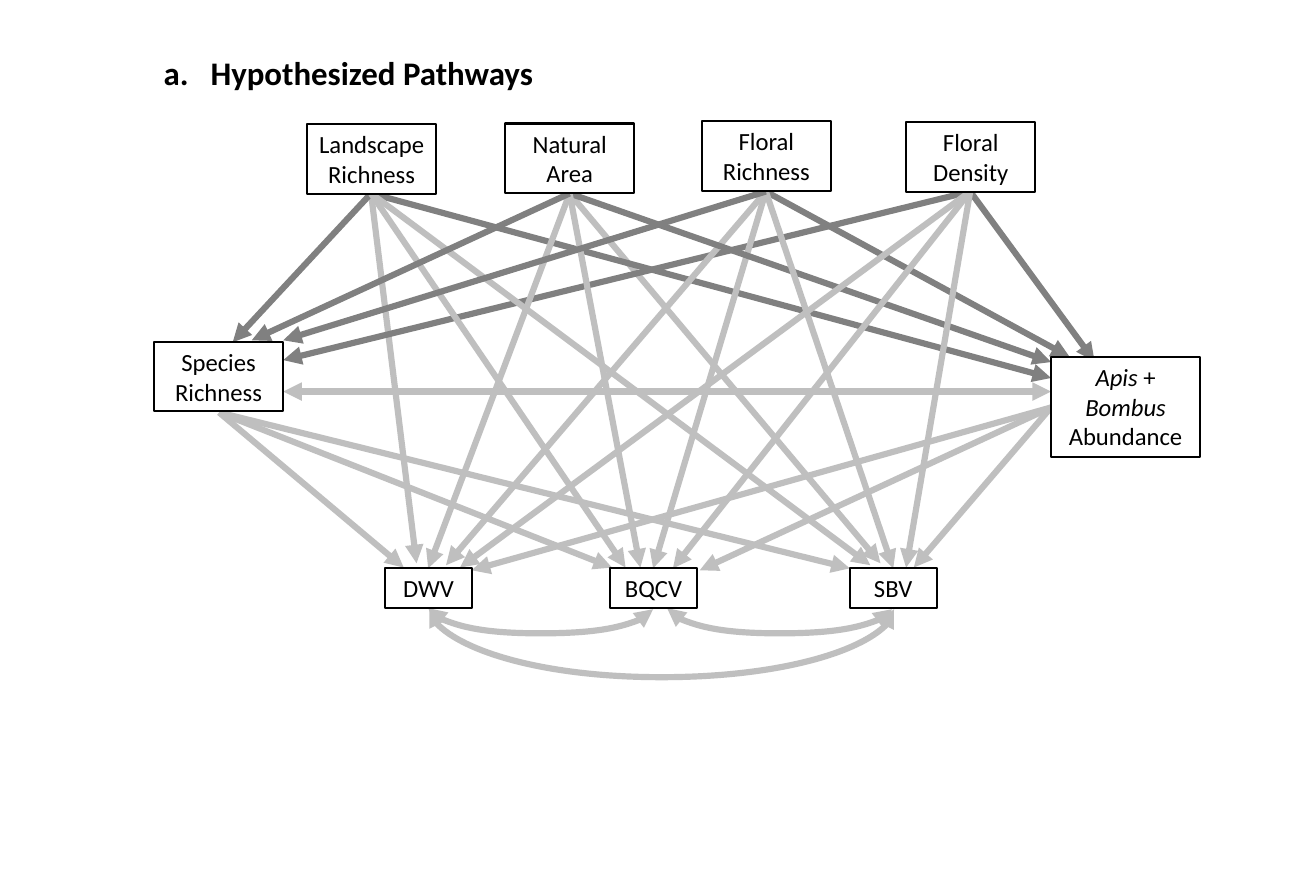
import dataclasses

import lxml.etree
import pptx
import pptx.dml.color
import pptx.enum.shapes
import pptx.enum.text
import pptx.oxml.ns
import pptx.util

Cm = pptx.util.Cm
qn = pptx.oxml.ns.qn

COLORS = {"black": "000000", "white": "FFFFFF", "dark": "808080", "light": "BFBFBF"}
FONT = "Calibri"


def rgb(name: str) -> pptx.dml.color.RGBColor:
    return pptx.dml.color.RGBColor.from_string(COLORS[name])


@dataclasses.dataclass
class Box:
    """A labelled box; label pieces alternate between upright and italic."""
    label: tuple[str, ...]
    left: float
    top: float
    width: float = 3.33
    height: float = 1.8
    filled: bool = True


@dataclasses.dataclass
class Route:
    source: str
    x: float
    y: float
    tone: str = "light"


@dataclasses.dataclass
class Arc:
    left: float
    right: float
    drop: float


# Diagram data, in centimetres
BOXES = [
    Box(("Floral Richness",), 18.06, 3.12),
    Box(("Floral Density",), 23.32, 3.15),
    Box(("Natural Area",), 13.0, 3.18),
    Box(("Landscape Richness",), 7.9, 3.2),
    Box(("Species Richness",), 3.96, 8.81, height=1.78),
    Box(("", "Apis", " + ", "Bombus", " Abundance"), 27.05, 9.19, 3.84, 2.57),
] + [Box((virus,), left, 14.63, 2.24, 1.02, False)
     for virus, left in (("DWV", 9.91), ("BQCV", 15.7), ("SBV", 21.87))]

ORIGINS = {
    "landscape": (9.55, 4.98),
    "natural": (14.66, 4.98),
    "floral richness": (19.71, 4.93),
    "floral density": (24.97, 4.93),
    "species": (5.64, 10.62),
    "bees": (27.05, 10.49),
}

ROUTES = [
    Route("bees", 23.52, 14.61),
    Route("bees", 12.14, 14.68),
    Route("natural", 22.66, 14.5),
    Route("landscape", 10.72, 14.5),
    Route("floral richness", 27.53, 9.19, "dark"),
    Route("floral density", 7.29, 9.27, "dark"),
    Route("floral density", 28.17, 9.3, "dark"),
    Route("landscape", 27.05, 9.73, "dark"),
    Route("landscape", 5.99, 8.81, "dark"),
    Route("species", 10.39, 14.61),
    Route("species", 15.75, 14.61),
    Route("floral richness", 11.48, 14.55),
    Route("natural", 11.02, 14.63),
    Route("floral richness", 16.81, 14.63),
    Route("species", 21.87, 14.63),
    Route("natural", 27.05, 9.32, "dark"),
    Route("landscape", 16.1, 14.61),
    Route("floral density", 11.84, 14.61),
    Route("bees", 18.01, 14.68),
    Route("landscape", 22.4, 14.55),
    Route("natural", 16.48, 14.61),
    Route("natural", 6.48, 8.76, "dark"),
    Route("floral richness", 22.99, 14.63),
    Route("floral density", 23.32, 14.61),
    Route("floral density", 17.32, 14.63),
    Route("floral richness", 7.29, 8.76, "dark"),
]

ARCS = [Arc(11.02, 16.81, 0.65), Arc(17.17, 22.96, 0.65), Arc(11.05, 23.01, 1.78)]
ARC_TOP = 15.67
ARC_DEPTH = 0.03


def add_span(para, text: str, size: int, **extra) -> None:
    span = para.add_run()
    span.text = text
    formats = {"name": FONT, "size": pptx.util.Pt(size), **extra}
    for key, value in formats.items():
        setattr(span.font, key, value)
    span.font.color.rgb = rgb("black")


def add_arrow(page, kind, start, end, tone: str = "light", both: bool = False):
    arrow = page.shapes.add_connector(kind, *(Cm(v) for v in (*start, *end)))
    arrow.line.color.rgb = rgb(tone)
    arrow.line.width = pptx.util.Pt(4.5)
    line = arrow.line._get_or_add_ln()
    for tip in ("a:headEnd", "a:tailEnd") if both else ("a:tailEnd",):
        lxml.etree.SubElement(line, qn(tip), type="triangle")
    lxml.etree.SubElement(arrow._element.spPr, qn("a:effectLst"))
    return arrow


def add_arc(page, arc: Arc) -> None:
    # The connector stands upright and is turned so that it bulges downwards
    middle, half = (arc.left + arc.right) / 2, (arc.right - arc.left) / 2
    arrow = add_arrow(page, pptx.enum.shapes.MSO_CONNECTOR.CURVE,
                      (middle - ARC_DEPTH / 2, ARC_TOP - half),
                      (middle + ARC_DEPTH / 2, ARC_TOP + half), both=True)
    properties = arrow._element.spPr
    frame = properties.find(qn("a:xfrm"))
    for key, value in {"rot": "16200000", "flipH": "1"}.items():
        frame.set(key, value)
    guides = properties.find(qn("a:prstGeom")).find(qn("a:avLst"))
    bend = round(arc.drop / ARC_DEPTH * 100000)
    lxml.etree.SubElement(guides, qn("a:gd"), name="adj1", fmla=f"val {bend}")


def add_box(page, box: Box) -> None:
    shape = page.shapes.add_shape(
        pptx.enum.shapes.MSO_SHAPE.RECTANGLE,
        *(Cm(v) for v in (box.left, box.top, box.width, box.height)))
    shape.shadow.inherit = False
    if box.filled:
        shape.fill.solid()
        shape.fill.fore_color.rgb = rgb("white")
    else:
        shape.fill.background()
    shape.line.color.rgb = rgb("black")
    shape.line.width = pptx.util.Pt(1.5)
    frame = shape.text_frame
    frame.word_wrap = True
    frame.vertical_anchor = pptx.enum.text.MSO_ANCHOR.TOP
    para = frame.paragraphs[0]
    para.alignment = pptx.enum.text.PP_ALIGN.CENTER
    for index, piece in enumerate(box.label):
        if piece:
            add_span(para, piece, 18, italic=index % 2 == 1)


def add_title(page) -> None:
    title = page.shapes.add_textbox(Cm(3.96), Cm(1.22), Cm(10.31), Cm(1.27))
    title.text_frame.word_wrap = True
    para = title.text_frame.paragraphs[0]
    # Hanging indent sets the gap after the letter
    indent = Cm(1.21)
    for key, value in {"marL": indent, "indent": -indent}.items():
        para._p.get_or_add_pPr().set(key, str(int(value)))
    add_span(para, "a.\tHypothesized Pathways", 24, bold=True)


def main() -> None:
    deck = pptx.Presentation()
    deck.slide_width, deck.slide_height = Cm(33.87), Cm(22.86)
    page = deck.slides.add_slide(deck.slide_layouts[6])
    straight = pptx.enum.shapes.MSO_CONNECTOR.STRAIGHT

    # Pathways
    for route in ROUTES:
        add_arrow(page, straight, ORIGINS[route.source], (route.x, route.y), route.tone)

    # Correlations
    add_arrow(page, straight, (7.29, 10.08), (27.05, 10.08), both=True)
    for arc in ARCS:
        add_arc(page, arc)

    # Title and boxes
    add_title(page)
    for box in BOXES:
        add_box(page, box)

    deck.save("out.pptx")


main()
